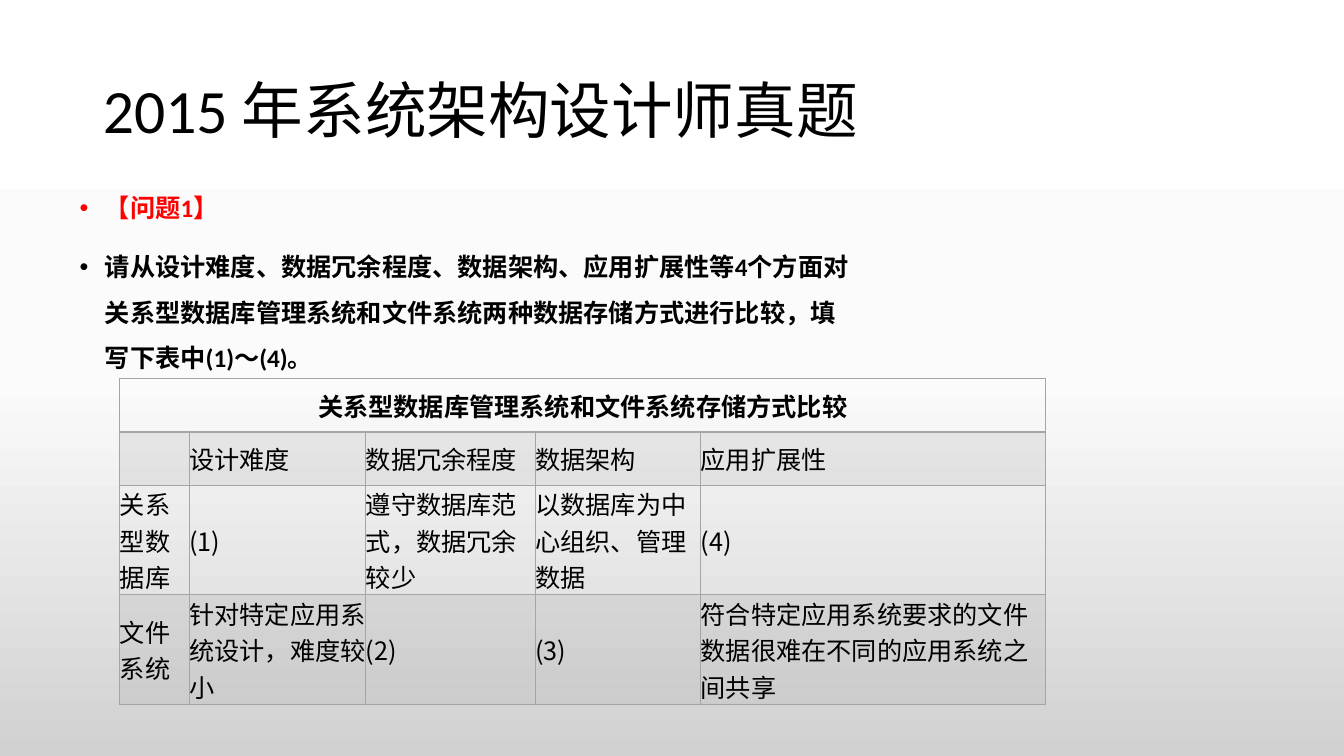
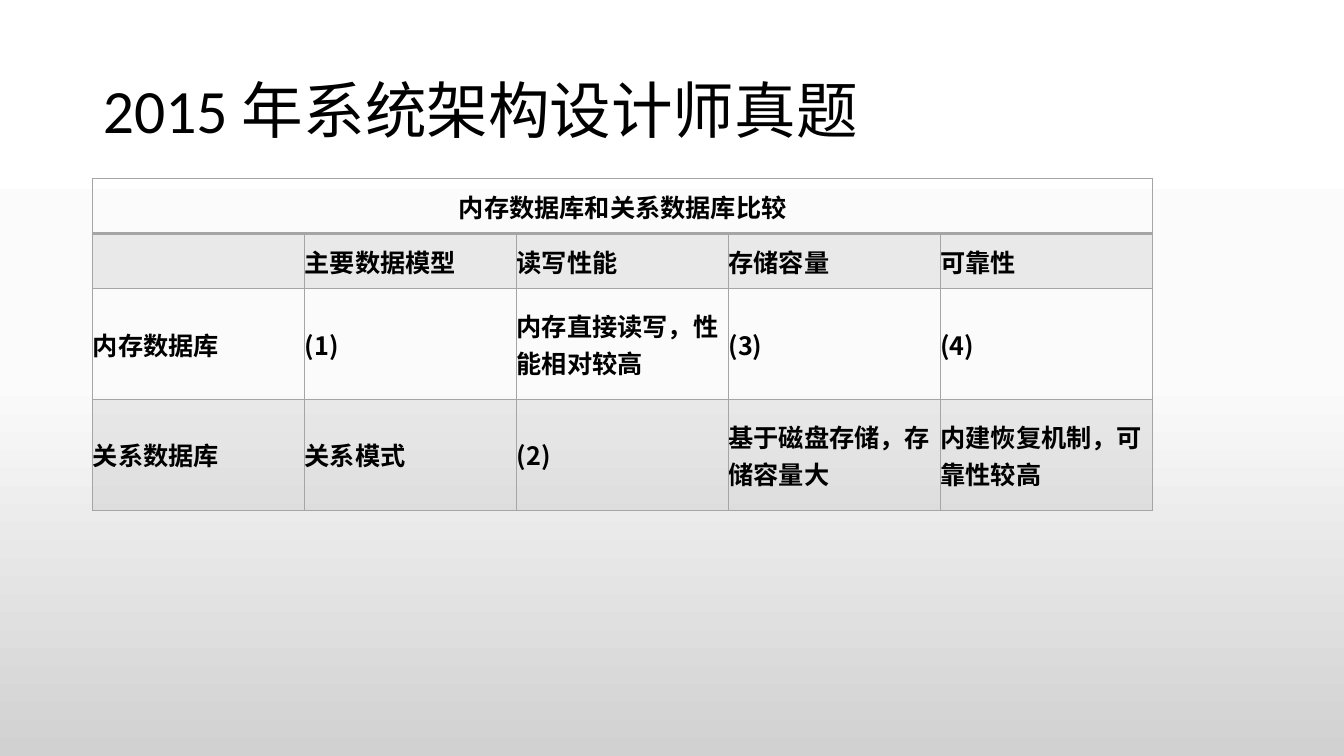
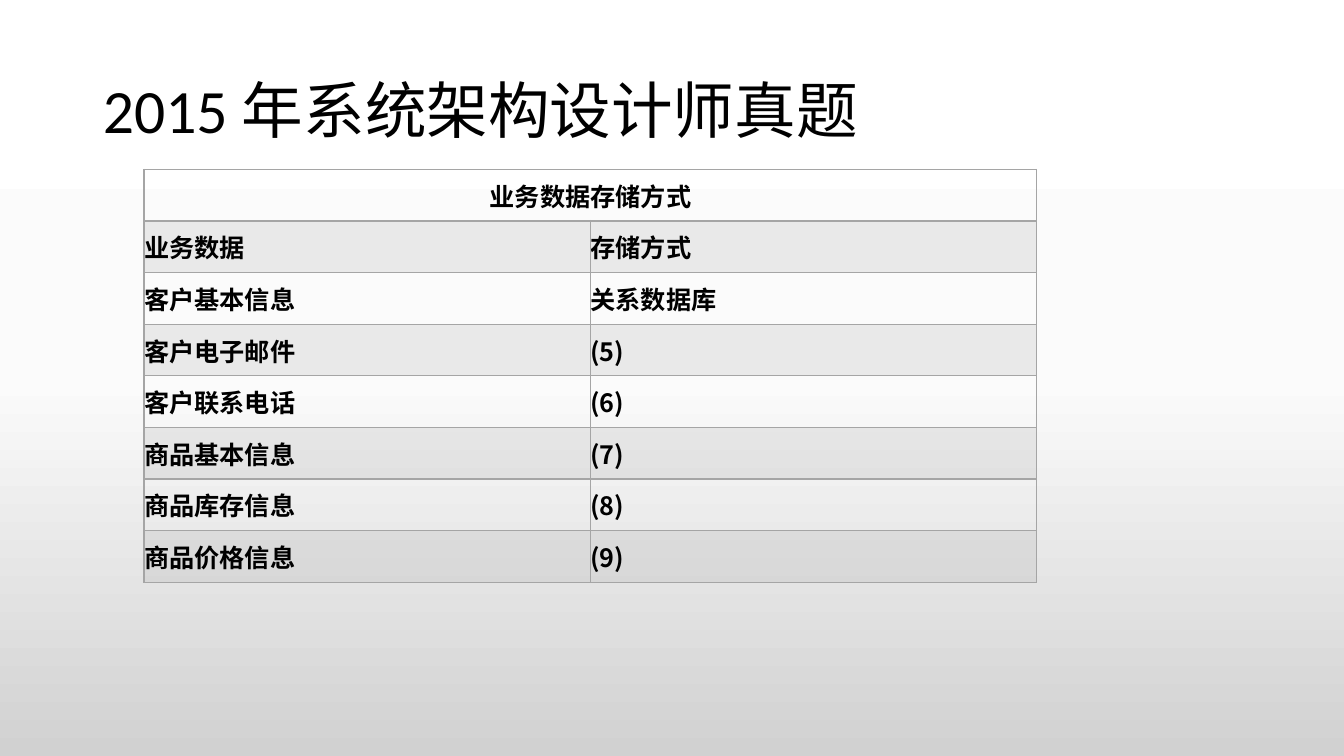
from copy import deepcopy
from dataclasses import dataclass

from lxml.etree import SubElement as Sub
from pptx import Presentation
from pptx.dml.color import RGBColor as Rgb
from pptx.enum.text import MSO_ANCHOR as Anchor, MSO_AUTO_SIZE as Auto, PP_ALIGN as Align
from pptx.oxml.ns import qn
from pptx.util import Cm, Pt


@dataclass(frozen=True)
class Theme:
    ink: str = "000000"
    red: str = "FF0000"
    gray: str = "A5A5A5"
    tint: int = 20
    back: tuple = ((0, "FFFFFF"), (0.5, "FBFBFB"), (1, "D1D1D1"))
    latin: str = "Calibri"
    asian: str = "Noto Sans CJK SC"
    big: int = 44
    text: int = 18
    thin: int = 1
    thick: int = 2


TITLE = "2015 年系统架构设计师真题"
CONTENT, TITLE_ONLY = 1, 5


class Deck:
    def __init__(self, theme):
        self.theme = theme
        self.prs = Presentation()
        self.prs.slide_width, self.prs.slide_height = Cm(33.87), Cm(19.05)
        self.paint()

    def paint(self):
        """Set the gradient on the master, so that every slide has it."""
        master = self.prs.slide_master
        fill = master.background.fill
        fill.gradient()
        fill.gradient_angle = 270
        stops = master.element.find(".//" + qn("a:gsLst"))
        stops.append(deepcopy(stops[-1]))
        for stop, (pos, color) in zip(fill.gradient_stops, self.theme.back):
            stop.position = pos
            stop.color.rgb = Rgb.from_string(color)

    def place(self, shape, box):
        shape.left, shape.top, shape.width, shape.height = map(Cm, box)
        shape.text_frame.word_wrap = True
        shape.text_frame.auto_size = Auto.NONE

    def style(self, para, size, color, face, bold=False):
        font = para.font
        font.size, font.bold, font.name = Pt(size), bold, face
        font.color.rgb = Rgb.from_string(color)
        props = para._p.pPr.find(qn("a:defRPr"))
        Sub(props, qn("a:ea")).set("typeface", self.theme.asian)

    def add(self, layout=TITLE_ONLY):
        self.slide = self.prs.slides.add_slide(self.prs.slide_layouts[layout])
        title = self.slide.shapes.title
        self.place(title, (2.34, 1.02, 29.21, 3.68))
        frame = title.text_frame
        frame.text, frame.vertical_anchor = TITLE, Anchor.MIDDLE
        para = frame.paragraphs[0]
        para.alignment, para.line_spacing = Align.LEFT, 0.9
        self.style(para, self.theme.big, self.theme.ink, self.theme.latin)

    def body(self, box, items):
        shape = self.slide.placeholders[1]
        self.place(shape, box)
        frame = shape.text_frame
        frame.text = "\n".join(text for text, _ in items)
        for para, (_, color) in zip(frame.paragraphs, items):
            para.line_spacing, para.space_before = 1.5, Pt(10)
            props = para._p.get_or_add_pPr()
            props.set("marL", str(Cm(0.64)))
            props.set("indent", str(-Cm(0.64)))
            self.style(para, self.theme.text, color, self.theme.latin, True)

    def border(self, cell, row):
        props = cell._tc.get_or_add_tcPr()
        heavy = {0: "lnB", 1: "lnT"}.get(row)
        for side in ("lnL", "lnR", "lnT", "lnB"):
            width = self.theme.thick if side == heavy else self.theme.thin
            line = Sub(props, qn("a:" + side), w=str(Pt(width)))
            fill = Sub(line, qn("a:solidFill"))
            Sub(fill, qn("a:srgbClr"), val=self.theme.gray)

    def shade(self, cell, row):
        if row % 2 == 0:
            cell.fill.background()
            return
        cell.fill.solid()
        cell.fill.fore_color.rgb = Rgb.from_string(self.theme.gray)
        color = cell._tc.tcPr.find(".//" + qn("a:srgbClr"), None)
        color = cell._tc.tcPr.find(qn("a:solidFill")).find(qn("a:srgbClr"))
        Sub(color, qn("a:alpha"), val=str(self.theme.tint * 1000))

    def table(self, left, top, cols, rows, head, data, bold=True):
        """Draw a table with a merged heading above the rows of data."""
        size = (Cm(left), Cm(top), Cm(sum(cols)), Cm(sum(rows)))
        grid = self.slide.shapes.add_table(len(rows), len(cols), *size).table
        grid.first_row = grid.horz_banding = False
        for col, width in zip(grid.columns, cols):
            col.width = Cm(width)
        for row, height in zip(grid.rows, rows):
            row.height = Cm(height)
        grid.cell(0, 0).merge(grid.cell(0, len(cols) - 1))
        lines = [[head] + [""] * (len(cols) - 1)] + data
        for r, line in enumerate(lines):
            for c, text in enumerate(line):
                cell = grid.cell(r, c)
                cell.text, cell.vertical_anchor = text, Anchor.MIDDLE
                cell.margin_left = cell.margin_right = 0
                cell.margin_top = cell.margin_bottom = 0
                para = cell.text_frame.paragraphs[0]
                para.alignment = Align.LEFT if r else Align.CENTER
                self.style(para, self.theme.text, self.theme.ink,
                           self.theme.asian, bold or r == 0)
                self.border(cell, r)
                self.shade(cell, r)


theme = Theme()
deck = Deck(theme)

# Question 1: databases and file systems
deck.add(CONTENT)
deck.body((1.75, 4.34, 19.99, 12.9), [
    ("【问题1】", theme.red),
    ("请从设计难度、数据冗余程度、数据架构、应用扩展性等4个方面对关系型数据库管理系统"
     "和文件系统两种数据存储方式进行比较，填写下表中(1)～(4)。", theme.ink),
])
deck.table(3.02, 9.53, [1.75, 4.45, 4.27, 4.17, 8.69], [1.35, 1.35, 2.7, 2.7],
           "关系型数据库管理系统和文件系统存储方式比较", [
    ["", "设计难度", "数据冗余程度", "数据架构", "应用扩展性"],
    ["关系型数据库", "(1)", "遵守数据库范式，数据冗余较少",
     "以数据库为中心组织、管理数据", "(4)"],
    ["文件系统", "针对特定应用系统设计，难度较小", "(2)", "(3)",
     "符合特定应用系统要求的文件数据很难在不同的应用系统之间共享"],
], bold=False)

# Memory and relational databases
deck.add()
deck.table(2.34, 4.5, [5.34] * 5, [1.39, 1.39, 2.79, 2.79],
           "内存数据库和关系数据库比较", [
    ["", "主要数据模型", "读写性能", "存储容量", "可靠性"],
    ["内存数据库", "(1)", "内存直接读写，性能相对较高", "(3)", "(4)"],
    ["关系数据库", "关系模式", "(2)", "基于磁盘存储，存储容量大",
     "内建恢复机制，可靠性较高"],
])

# Storage of business data
deck.add()
deck.table(3.63, 4.27, [11.25] * 2, [1.3] * 8, "业务数据存储方式", [
    ["业务数据", "存储方式"],
    ["客户基本信息", "关系数据库"],
    ["客户电子邮件", "(5)"],
    ["客户联系电话", "(6)"],
    ["商品基本信息", "(7)"],
    ["商品库存信息", "(8)"],
    ["商品价格信息", "(9)"],
])

deck.prs.save("out.pptx")
